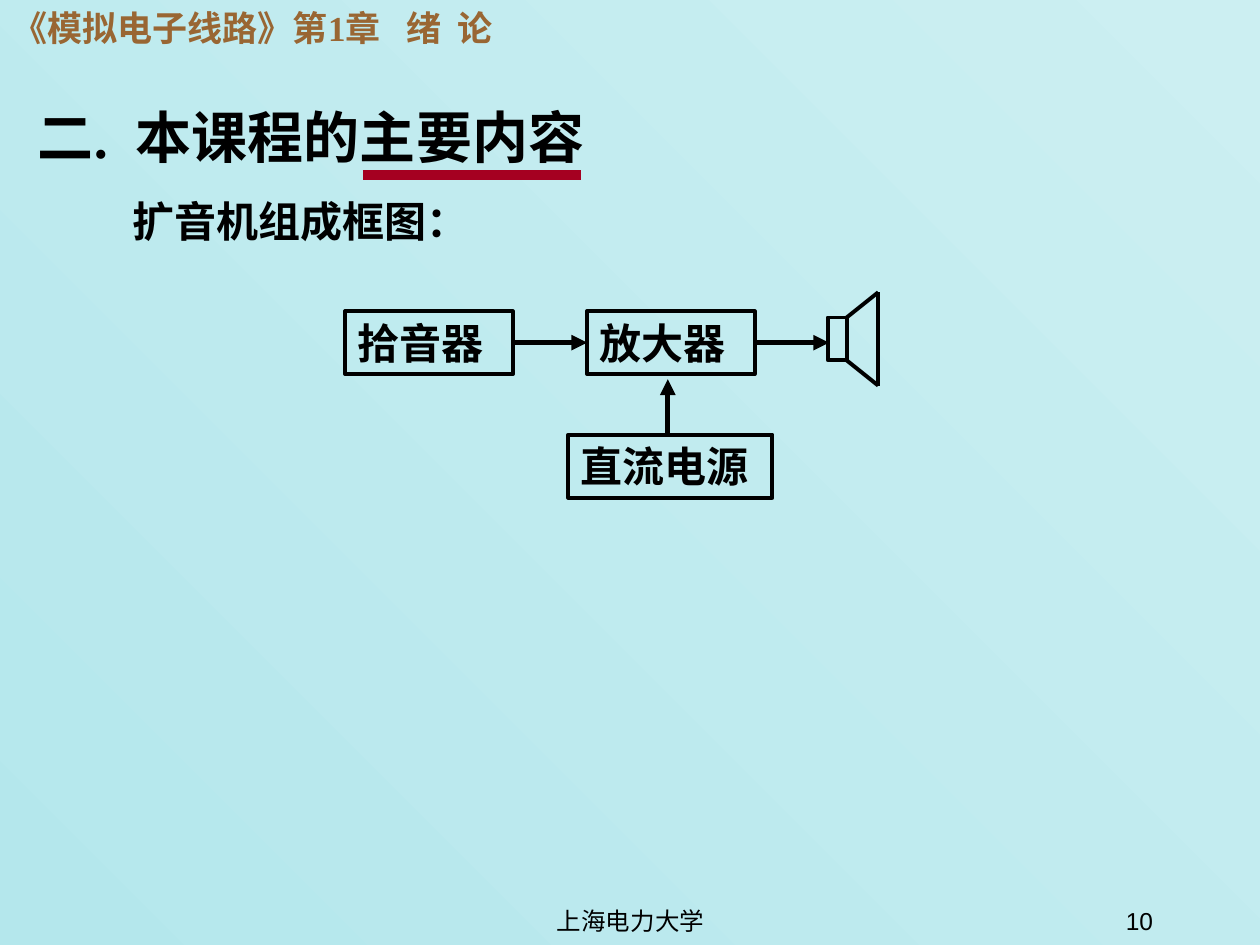
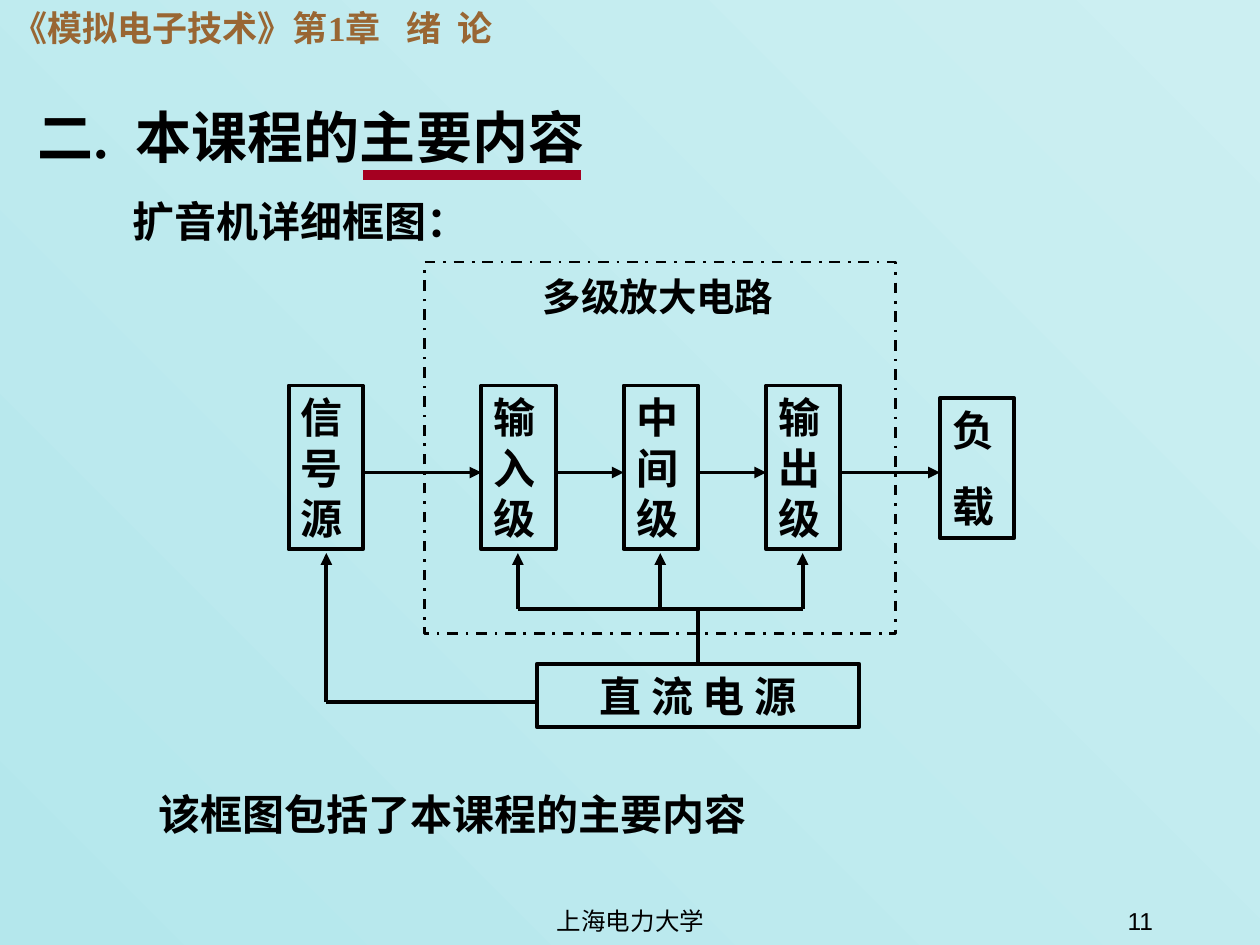
from itertools import pairwise
from lxml import etree
from pptx import Presentation
from pptx import util as u
from pptx.dml.color import RGBColor
from pptx.enum import dml, shapes, text
from pptx.oxml.ns import qn

PX = 9144
COLORS = {"ink": "000000", "header": "996633", "underline": "A50021",
          "bg_low": "B4E7EC", "bg_high": "CCEFF2"}
SERIF, SANS = "Times New Roman", "Arial"
LEFT, CENTER, RIGHT = text.PP_ALIGN.LEFT, text.PP_ALIGN.CENTER, text.PP_ALIGN.RIGHT
HEADING = "二. 本课程的主要内容"
FOOTER = "上海电力大学"

STAGES = ["输入级", "中间级", "输出级"]
STAGE_X = [382 + 113 * i for i in range(len(STAGES))]
STAGE_W, STAGE_Y, STAGE_H = 59, 306, 130
SIGNAL_X, LOAD_X, SIGNAL_Y = 229, 746, 375
BUS_Y, ARROW_Y = 483, 439
STAGE_MIDS = [x + STAGE_W // 2 for x in STAGE_X]
COLUMN_X = [SIGNAL_X, *STAGE_X, LOAD_X]

SLIDES = [
    {
        "number": "10",
        "header": "《模拟电子线路》第1章 绪 论",
        "subtitle": "扩音机组成框图：",
        "boxes": [
            ("拾音器", (274, 247, 133, 50), LEFT),
            ("放大器", (466, 247, 133, 50), LEFT),
            ("", (657, 252, 15, 34), LEFT),
            ("直流电源", (451, 345, 162, 50), LEFT),
        ],
        "wires": [([(672, 252), (697, 232), (697, 306), (672, 286)], 2.25, False)]
        + [(points, 3, True) for points in (
            [(406, 272), (466, 272)],
            [(598, 272), (658, 272)],
            [(530, 345), (530, 301)],
        )],
        "frames": [],
        "labels": [],
    },
    {
        "number": "11",
        "header": "《模拟电子技术》第1章 绪 论",
        "subtitle": "扩音机详细框图：",
        "boxes": [(name, (x, STAGE_Y, STAGE_W, STAGE_H), LEFT)
                  for name, x in zip(["信号源"] + STAGES, COLUMN_X)]
        + [
            ("负\n载", (LOAD_X, 316, STAGE_W, 111), LEFT),
            ("直 流 电 源", (426, 527, 256, 50), CENTER),
        ],
        "wires": [
            ([(STAGE_MIDS[0], BUS_Y), (STAGE_MIDS[-1], BUS_Y)], 2.25, False),
            ([(554, 527), (554, BUS_Y)], 2.25, False),
            ([(426, 557), (259, 557), (259, ARROW_Y)], 2.25, True),
        ]
        + [([(x, BUS_Y), (x, ARROW_Y)], 2.25, True) for x in STAGE_MIDS]
        + [([(a + STAGE_W, SIGNAL_Y), (b, SIGNAL_Y)], 2.25, True)
           for a, b in pairwise(COLUMN_X)],
        "frames": [(337, 208, 374, 295)],
        "labels": [
            ("多级放大电路", (421, 212, 231, 47), 22),
            ("该框图包括了本课程的主要内容", (116, 621, 622, 50), 24),
        ],
    },
]


def rgb(name):
    return RGBColor.from_string(COLORS[name])


def px(values):
    return [u.Emu(v * PX) for v in values]


def widen_spaces(p, extra_points):
    first, *words = p.text.split(" ")
    p.text = first
    for extra, word in zip(extra_points, words):
        r = p.add_run()
        r.text = " "
        r._r.get_or_add_rPr().set("spc", str(extra * 100))
        p.add_run().text = word


def write(sp, content, size, color="ink", font=SERIF, bold=True, align=LEFT,
          anchor=text.MSO_ANCHOR.TOP, gap=0, spread=()):
    tf = sp.text_frame
    tf.text = content
    tf.word_wrap = True
    tf.auto_size = text.MSO_AUTO_SIZE.NONE
    tf.vertical_anchor = anchor
    for i, p in enumerate(tf.paragraphs):
        if spread:
            widen_spaces(p, spread)
        pPr = p._p.get_or_add_pPr()
        pPr.set("marL", "0")
        pPr.set("indent", "0")
        p.alignment = align
        p.space_before = u.Pt(gap if i else 0)
        etree.SubElement(pPr, qn("a:buNone"))
        for r in p.runs:
            r.font.name, r.font.size, r.font.bold = font, u.Pt(size), bold
            r.font.color.rgb = rgb(color)


def place(sp, box):
    sp.left, sp.top, sp.width, sp.height = px(box)
    return sp


def add_label(slide, content, box, size, **style):
    write(slide.shapes.add_textbox(*px(box)), content, size, **style)


def add_outline(slide, box, width):
    sp = slide.shapes.add_shape(shapes.MSO_SHAPE.RECTANGLE, *px(box))
    sp.shadow.inherit = False
    sp.fill.background()
    sp.line.color.rgb = rgb("ink")
    sp.line.width = u.Pt(width)
    return sp


def add_wire(slide, points, width, arrow=False, color="ink"):
    for start, end in pairwise(points):
        line = slide.shapes.add_connector(
            shapes.MSO_CONNECTOR.STRAIGHT, *px(start + end))
        line.line.color.rgb = rgb(color)
        line.line.width = u.Pt(width)
        if arrow and end == points[-1]:
            etree.SubElement(line.line._get_or_add_ln(), qn("a:tailEnd"), type="triangle")
        etree.SubElement(line._element.spPr, qn("a:effectLst"))


def paint_background(master):
    fill = master.background.fill
    fill.gradient()
    fill.gradient_angle = 45
    for stop, name in zip(fill.gradient_stops, ("bg_low", "bg_high")):
        stop.color.rgb = rgb(name)


def add_common(slide, data):
    middle = {"font": SANS, "bold": False, "anchor": text.MSO_ANCHOR.MIDDLE}
    add_label(slide, FOOTER, (342, 706, 317, 50), 14, align=CENTER, **middle)
    add_label(slide, data["number"], (717, 706, 208, 50), 14, align=RIGHT, **middle)
    add_label(slide, data["header"], (0, 0, 421, 44), 20, color="header", spread=(10, 5))
    title, body = slide.placeholders
    write(place(title, (20, 76, 980, 74)), HEADING, 32, spread=(8,))
    write(place(body, (95, 150, 885, 50)), data["subtitle"], 24)
    add_wire(slide, [(288, 139), (461, 139)], 6, color="underline")


def add_diagram(slide, data):
    for content, box, align in data["boxes"]:
        sp = add_outline(slide, box, 2.25)
        if content:
            write(sp, content, 24, align=align, gap=15)
    for points, width, arrow in data["wires"]:
        add_wire(slide, points, width, arrow)
    for box in data["frames"]:
        add_outline(slide, box, 1.5).line.dash_style = dml.MSO_LINE.DASH_DOT
    for content, box, size in data["labels"]:
        add_label(slide, content, box, size)


def main():
    prs = Presentation()
    prs.slide_width, prs.slide_height = px((1000, 750))
    paint_background(prs.slide_master)
    for data in SLIDES:
        slide = prs.slides.add_slide(prs.slide_layouts[1])
        add_common(slide, data)
        add_diagram(slide, data)
    prs.save("out.pptx")


if __name__ == "__main__":
    main()
